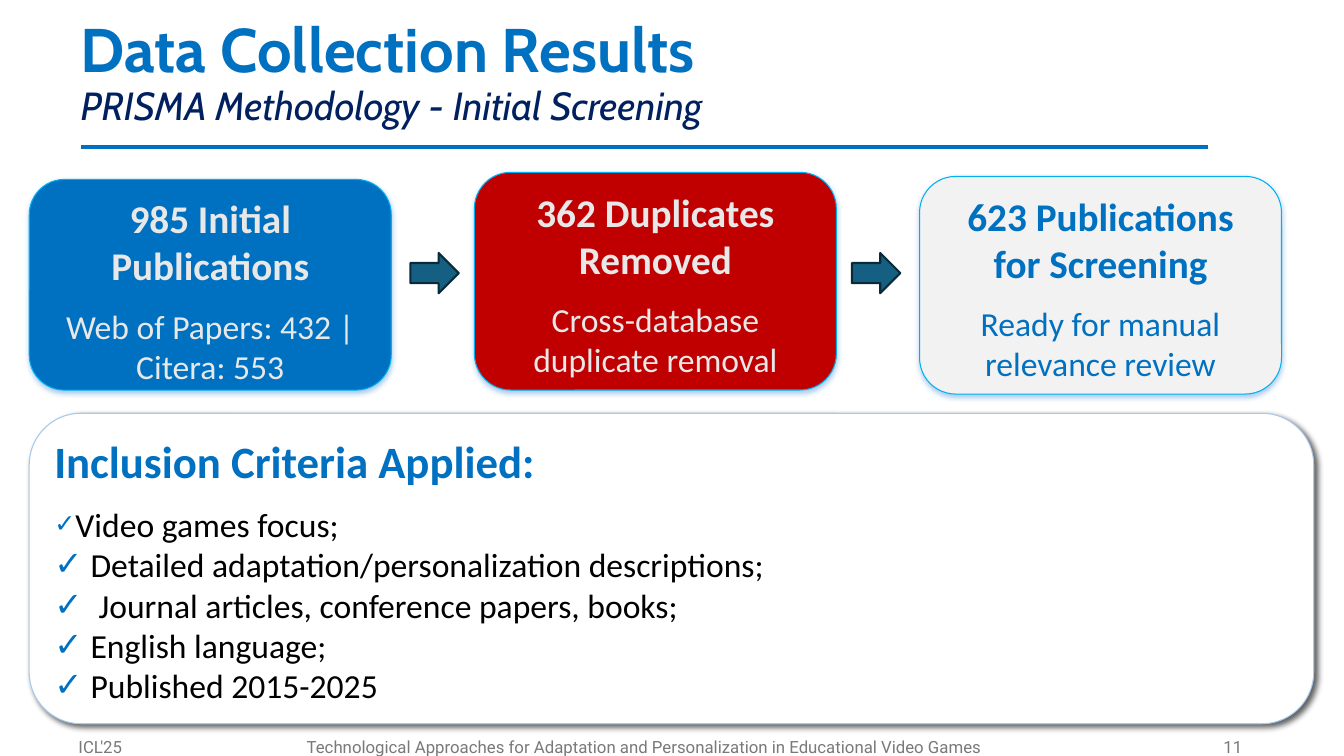
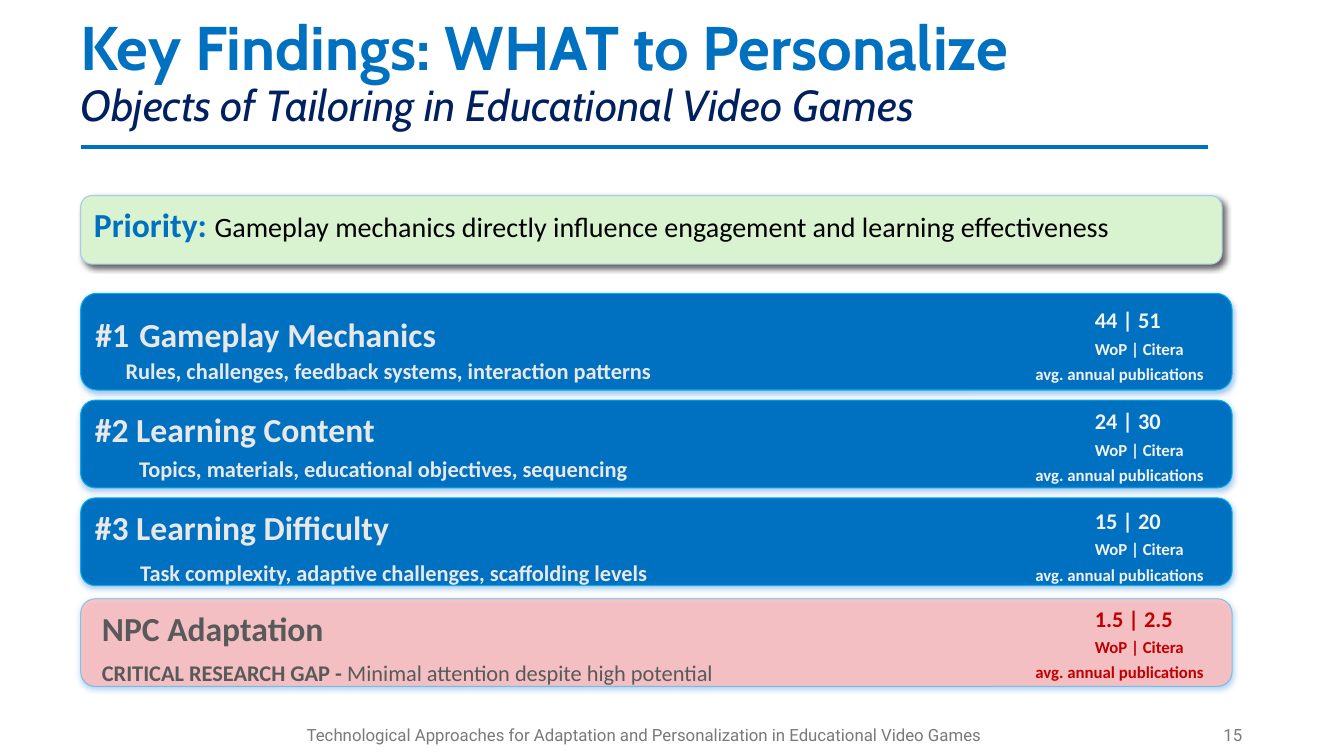
from dataclasses import dataclass

from lxml import etree
from pptx import Presentation
from pptx import util as u
from pptx.dml.color import RGBColor
from pptx.enum import shapes, text
from pptx.oxml import ns


@dataclass(frozen=True)
class Theme:
    blue: str = "0070C0"
    navy: str = "002060"
    red: str = "C00000"
    cyan: str = "00B0F0"
    sky: str = "A6CAEC"
    green: str = "D9F2D0"
    pink: str = "FFBDBD"
    teal: str = "156082"
    teal_dark: str = "092A39"
    black: str = "000000"
    white: str = "FFFFFF"
    pale: str = "F2F2F2"
    light: str = "E8E8E8"
    gray: str = "595959"
    footer_gray: str = "797979"
    title_font: str = "Cabin"
    body_font: str = "Calibri"
    footer_font: str = "Roboto"
    title: int = 44
    panel_head: int = 32
    stat_head: int = 28
    body: int = 24
    remark: int = 20
    detail: int = 16
    small: int = 12


THEME = Theme()
ALIGN = text.PP_ALIGN
SHAPE = shapes.MSO_SHAPE
FOOTER = "Technological Approaches for Adaptation and Personalization in Educational Video Games"


def style(size, color, font=THEME.body_font, **extra):
    return dict(size=u.Pt(size), color=color, name=font, **extra)


def apply(target, values):
    for name, value in values.items():
        if name == "color":
            target.color.rgb = RGBColor.from_string(value)
        else:
            setattr(target, name, value)


def inches(*lengths):
    return [u.Inches(length) for length in lengths]


def add_child(parent, tag, **attributes):
    return etree.SubElement(parent, ns.qn(tag), attributes)


def set_indent(para, left, first=0):
    properties = para._p.get_or_add_pPr()
    properties.set("marL", str(u.Inches(left)))
    properties.set("indent", str(u.Inches(first)))
    return properties


def add_check(para, indent, percent):
    properties = set_indent(para, indent, -indent)
    add_child(add_child(properties, "a:buClr"), "a:srgbClr", val=THEME.blue)
    add_child(properties, "a:buSzPct", val=str(percent * 1000))
    add_child(properties, "a:buFont", typeface=THEME.footer_font)
    add_child(properties, "a:buChar", char="✓")


def write(frame, paras):
    """Each item is (spans, paragraph values); a span is (words, font values)."""
    for index, (spans, values) in enumerate(paras):
        para = frame.paragraphs[0] if index == 0 else frame.add_paragraph()
        values = dict(values)
        check = values.pop("check", None)
        indent = values.pop("indent", None)
        if check:
            add_check(para, *check)
        elif indent:
            set_indent(para, indent)
        apply(para, values)
        for words, font_values in spans:
            if words == "\n":
                para.add_line_break()
                continue
            span = para.add_run()
            span.text = words
            apply(span.font, font_values)


def add_label(page, box, words, font_values, align=ALIGN.LEFT, anchor=text.MSO_ANCHOR.TOP):
    label = page.shapes.add_textbox(*inches(*box))
    apply(label.text_frame, dict(word_wrap=True, vertical_anchor=anchor))
    write(label.text_frame, [([(words, font_values)], dict(alignment=align))])


def add_block(page, kind, box, fill, line, width):
    block = page.shapes.add_shape(kind, *inches(*box))
    block.shadow.inherit = False
    block.fill.solid()
    apply(block.fill, dict())
    block.fill.fore_color.rgb = RGBColor.from_string(fill)
    apply(block.line, dict(color=line, width=u.Pt(width)))
    return block


def add_shadow(block, color, alpha, blur, distance, angle):
    effects = block.element.spPr.find(ns.qn("a:effectLst"))
    outer = add_child(effects, "a:outerShdw", blurRad=str(u.Pt(blur)), dist=str(u.Pt(distance)),
                      dir=str(angle * 60000), algn="ctr", rotWithShape="0")
    add_child(add_child(outer, "a:srgbClr", val=color), "a:alpha", val=str(alpha * 1000))


def add_card(page, box, fill, paras):
    card = add_block(page, SHAPE.ROUNDED_RECTANGLE, box, fill, THEME.cyan, 0)
    add_shadow(card, THEME.sky, 100, 4, 1.5, 90)
    card.text_frame.vertical_anchor = text.MSO_ANCHOR.TOP
    write(card.text_frame, paras)
    return card


def add_panel(page, box, fill, paras):
    panel = add_block(page, SHAPE.ROUNDED_RECTANGLE, box, fill, THEME.sky, 0.75)
    add_shadow(panel, THEME.black, 63, 4.5, 3, 45)
    panel.text_frame.vertical_anchor = text.MSO_ANCHOR.TOP
    write(panel.text_frame, paras)


def set_transparency(card, fill_alpha, line_alpha):
    properties = card.element.spPr
    for where, alpha in (("a:solidFill", fill_alpha), ("a:ln/a:solidFill", line_alpha)):
        color = properties.xpath(f"./{where}/a:srgbClr")[0]
        add_child(color, "a:alpha", val=str(alpha * 1000))


def add_page(deck, heading, subtitle, subtitle_size):
    page = deck.slides.add_slide(deck.slide_layouts.get_by_name("Title Only"))
    title = page.shapes.title
    places = ("left", "top", "width", "height")
    apply(title, dict(zip(places, inches(0, 0.01, 13.33, 1.45))))
    apply(title.text_frame, dict(word_wrap=True, auto_size=text.MSO_AUTO_SIZE.NONE,
                                 vertical_anchor=text.MSO_ANCHOR.MIDDLE))
    spans = [
        (heading, style(THEME.title, THEME.blue, THEME.title_font, bold=True)),
        ("\n", {}),
        (subtitle, style(subtitle_size, THEME.navy, THEME.title_font, bold=False, italic=True)),
    ]
    write(title.text_frame, [(spans, dict(indent=0.7, alignment=ALIGN.LEFT, line_spacing=0.9))])
    rule = page.shapes.add_connector(shapes.MSO_CONNECTOR.STRAIGHT,
                                     *inches(0.8, 1.46, 11.98, 1.46))
    apply(rule.line, dict(color=THEME.blue, width=u.Pt(3.25)))
    add_child(rule.element.spPr, "a:effectLst")
    return page


def add_footer(page, top, number, event=None):
    parts = [(2.93, 6.92, FOOTER, ALIGN.CENTER), (9.42, 3, number, ALIGN.RIGHT)]
    if event:
        parts.append((0.68, 2.25, event, ALIGN.LEFT))
    font_values = style(THEME.small, THEME.footer_gray, THEME.footer_font)
    for left, width, words, align in parts:
        add_label(page, (left, top, width, 0.4), words, font_values, align,
                  text.MSO_ANCHOR.MIDDLE)


def add_stat_card(page, box, fill, color, heading, detail):
    add_card(page, box, fill, [
        ([(heading, style(THEME.stat_head, color, bold=True))],
         dict(alignment=ALIGN.CENTER, space_after=u.Pt(12))),
        ([(detail, style(THEME.body, color, bold=False))], dict(alignment=ALIGN.CENTER)),
    ])


def add_criteria(page, box):
    # Each criterion: words, text indent, check size in percent
    criteria = [
        ("Video games focus;", 0.21, 75),
        ("Detailed adaptation/personalization descriptions;", 0.36, 100),
        ("Journal articles, conference papers, books;", 0.44, 100),
        ("English language;", 0.36, 100),
        ("Published 2015-2025", 0.36, 100),
    ]
    paras = [([("Inclusion Criteria Applied:", style(THEME.panel_head, THEME.blue, bold=True))],
              dict(alignment=ALIGN.LEFT, space_after=u.Pt(12)))]
    for words, indent, percent in criteria:
        paras.append(([(words, style(THEME.body, THEME.black))],
                      dict(check=(indent, percent), alignment=ALIGN.LEFT)))
    add_panel(page, box, THEME.white, paras)


def add_metric(page, left, top, value, color):
    rows = [
        (0.59, 0, 1.45, 0.37, value, THEME.detail),
        (0.59, 0.32, 1.45, 0.3, "WoP | Citera", THEME.small),
        (0, 0.57, 2.13, 0.3, "avg. annual publications", THEME.small),
    ]
    for across, down, width, height, words, size in rows:
        add_label(page, (left + across, top + down, width, height), words,
                  style(size, color, bold=True))


def add_finding(page, box, fill, heading, detail, detail_values, value, value_drop, value_color,
                heading_values=None):
    left, top = box[:2]
    card = add_card(page, box, fill, [
        (heading, dict(alignment=ALIGN.LEFT, **(heading_values or {}))),
        (detail, dict(alignment=ALIGN.LEFT, **detail_values)),
    ])
    add_metric(page, left + 9.37, top + value_drop, value, value_color)
    return card


def build_screening(deck):
    page = add_page(deck, "Data Collection Results", "PRISMA Methodology - Initial Screening", 28)
    add_criteria(page, (0.29, 4.1, 12.74, 3.08))
    stats = [
        (1.78, 2.09, THEME.blue, THEME.light,
         "985 Initial Publications", "Web of Papers: 432 | Citera: 553"),
        (1.71, 2.16, THEME.red, THEME.light,
         "362 Duplicates Removed", "Cross-database duplicate removal"),
        (1.75, 2.16, THEME.pale, THEME.blue,
         "623 Publications for Screening", "Ready for manual relevance review"),
    ]
    for index, (top, height, *content) in enumerate(stats):
        add_stat_card(page, (0.29 + 4.415 * index, top, 3.59, height), *content)
    for index in range(len(stats) - 1):
        add_block(page, SHAPE.RIGHT_ARROW, (4.07 + 4.38 * index, 2.51, 0.48, 0.4),
                  THEME.teal, THEME.teal_dark, 1.5)
    add_footer(page, 7.21, "11", "ICL'25")


def build_findings(deck):
    page = add_page(deck, "Key Findings: WHAT to Personalize",
                    "Objects of Tailoring in Educational Video Games", 31)
    add_panel(page, (0.8, 1.94, 11.32, 0.68), THEME.green, [([
        ("Priority: ", style(THEME.body, THEME.blue, bold=True)),
        ("Gameplay mechanics directly influence engagement and learning effectiveness",
         style(THEME.remark, THEME.black, bold=False)),
    ], dict(alignment=ALIGN.LEFT))])

    head = style(THEME.body, THEME.light, bold=True)
    wide_space = style(THEME.panel_head, THEME.light, bold=True)
    note = style(THEME.detail, THEME.light, bold=True)
    findings = [
        (2.91, 0.96, [("#1", head), (" ", wide_space), ("Gameplay Mechanics", head)],
         "Rules, challenges, feedback systems, interaction patterns", 0.3, 0, "44 | 51", 0.08),
        (3.97, 0.87, [("#2 Learning Content", head)],
         "Topics, materials, educational objectives, sequencing", 0.44, 4, "24 | 30", 0.02),
        (4.94, 0.87, [("#3 Learning Difficulty", head)],
         "Task complexity, adaptive challenges, scaffolding levels", 0.45, 8, "15 | 20", 0.04),
    ]
    for top, height, heading, detail, indent, gap, value, drop in findings:
        add_finding(page, (0.8, top, 11.42, height), THEME.blue, heading, [(detail, note)],
                    dict(indent=indent, space_before=u.Pt(gap)), value, drop, THEME.pale)

    gap_card = add_finding(
        page, (0.8, 5.94, 11.42, 0.87), THEME.pink,
        [("NPC Adaptation", style(THEME.body, THEME.gray, bold=True))],
        [("CRITICAL RESEARCH GAP - ", style(THEME.detail, THEME.gray, bold=True)),
         ("Minimal attention despite high potential", style(THEME.detail, THEME.gray))],
        dict(indent=0.07, space_before=u.Pt(8)), "1.5 | 2.5", 0.01, THEME.red,
        dict(indent=0.07))
    set_transparency(gap_card, 86, 46)
    add_footer(page, 7.09, "15")


def main():
    deck = Presentation()
    apply(deck, dict(slide_width=u.Inches(13.33), slide_height=u.Inches(7.5)))
    build_screening(deck)
    build_findings(deck)
    deck.save("out.pptx")


if __name__ == "__main__":
    main()
